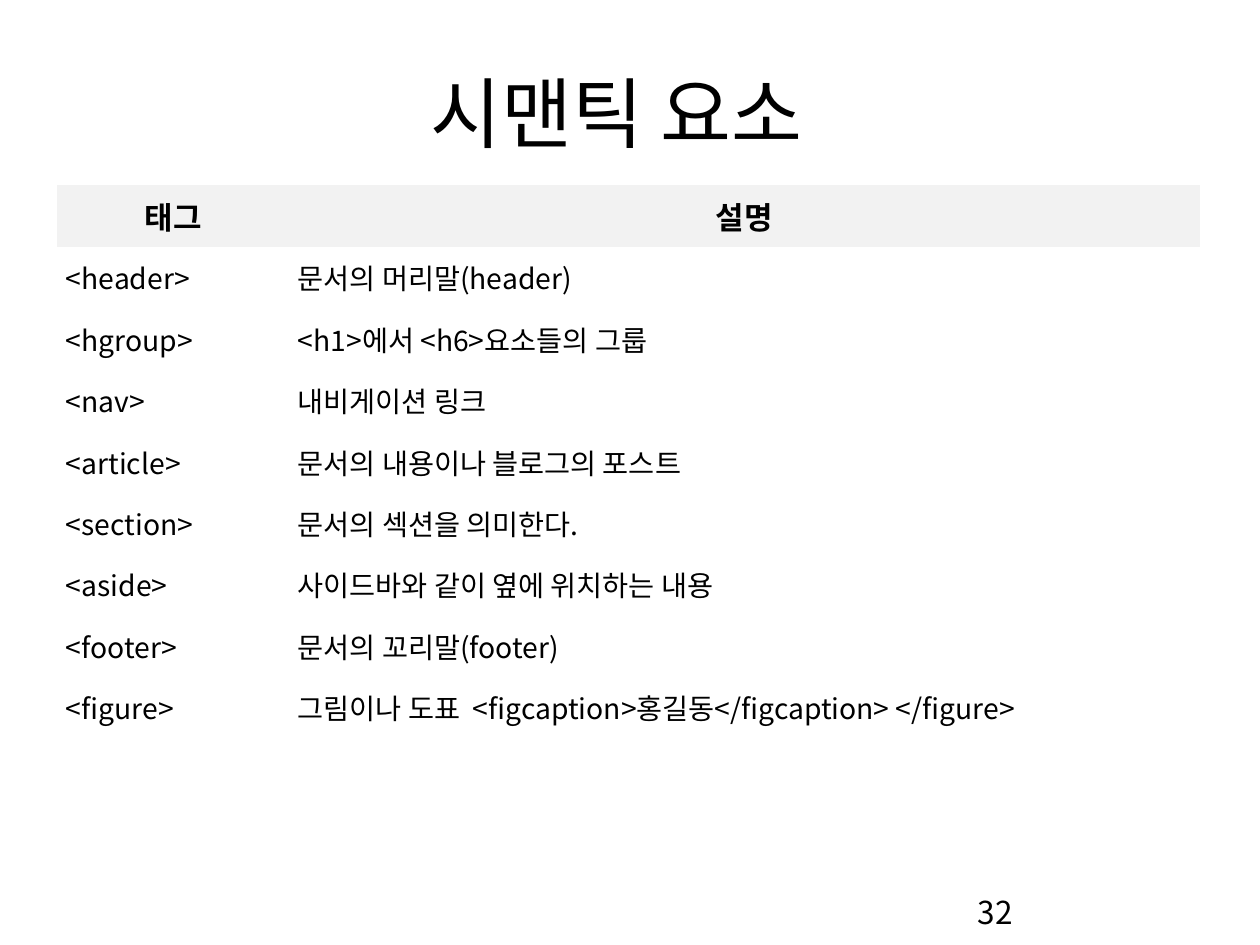
import pptx
import pptx.dml.color
import pptx.enum.text
import pptx.oxml.ns
import pptx.util
from lxml import etree

Inches = pptx.util.Inches
PP_ALIGN = pptx.enum.text.PP_ALIGN
ANCHOR = pptx.enum.text.MSO_ANCHOR
qn = pptx.oxml.ns.qn

FONT = "Noto Sans CJK KR"
BLACK = pptx.dml.color.RGBColor(0x00, 0x00, 0x00)
HEADER_GRAY = pptx.dml.color.RGBColor(0xF2, 0xF2, 0xF2)
PLAIN_TABLE_STYLE = "{2D5ABB26-0587-4C30-8999-92F81FD0307C}"

HEADINGS = ("태그", "설명")
ELEMENTS = [
    ("<header>", "문서의 머리말(header)"),
    ("<hgroup>", "<h1>에서 <h6>요소들의 그룹"),
    ("<nav>", "내비게이션 링크"),
    ("<article>", "문서의 내용이나 블로그의 포스트"),
    ("<section>", "문서의 섹션을 의미한다."),
    ("<aside>", "사이드바와 같이 옆에 위치하는 내용"),
    ("<footer>", "문서의 꼬리말(footer)"),
    ("<figure>", "그림이나 도표  <figcaption>홍길동</figcaption> </figure>"),
]


def write(tf, text, size, align, bold=False):
    p = tf.paragraphs[0]
    p.alignment = align
    r = p.add_run()
    r.text = text
    r.font.name = FONT
    r.font.size = pptx.util.Pt(size)
    r.font.bold = bold
    r.font.color.rgb = BLACK
    etree.SubElement(r.font._element, qn("a:ea"), typeface=FONT)


def place_title(s, text):
    sp = s.shapes.title
    sp.left, sp.top = Inches(1.05), Inches(0.61)
    sp.width, sp.height = Inches(10.61), Inches(1.08)
    tf = sp.text_frame
    tf.auto_size = pptx.enum.text.MSO_AUTO_SIZE.NONE
    tf.vertical_anchor = ANCHOR.MIDDLE
    write(tf, text, 57.2, PP_ALIGN.CENTER)


def fill_cell(cell, text, is_heading):
    cell.margin_left = cell.margin_right = Inches(0.09)
    cell.margin_top = cell.margin_bottom = Inches(0.05)
    cell.vertical_anchor = ANCHOR.MIDDLE
    if is_heading:
        cell.fill.solid()
        cell.fill.fore_color.rgb = HEADER_GRAY
        write(cell.text_frame, text, 23, PP_ALIGN.CENTER, bold=True)
    else:
        cell.fill.background()
        write(cell.text_frame, text, 21, PP_ALIGN.JUSTIFY)


def add_element_table(s):
    rows = [HEADINGS] + ELEMENTS
    frame = s.shapes.add_table(len(rows), len(HEADINGS), Inches(0.59), Inches(1.91),
                               Inches(11.78), Inches(5.7))
    table = frame.table
    table.horz_banding = False
    table._tbl.tblPr.find(qn("a:tableStyleId")).text = PLAIN_TABLE_STYLE
    table.columns[0].width = Inches(2.39)
    table.columns[1].width = Inches(9.39)
    for i, row in enumerate(rows):
        for j, text in enumerate(row):
            fill_cell(table.cell(i, j), text, i == 0)


def add_page_number(s, text):
    sp = s.shapes.add_textbox(Inches(9.98), Inches(9.15), Inches(2.68), Inches(0.6))
    sp.text_frame.word_wrap = True
    write(sp.text_frame, text, 23.4, PP_ALIGN.LEFT)


def main():
    prs = pptx.Presentation()
    prs.slide_width, prs.slide_height = Inches(12.99), Inches(9.74)
    s = prs.slides.add_slide(prs.slide_layouts.get_by_name("Title Only"))
    place_title(s, "시맨틱 요소")
    add_element_table(s)
    add_page_number(s, "32")
    prs.save("out.pptx")


if __name__ == "__main__":
    main()
